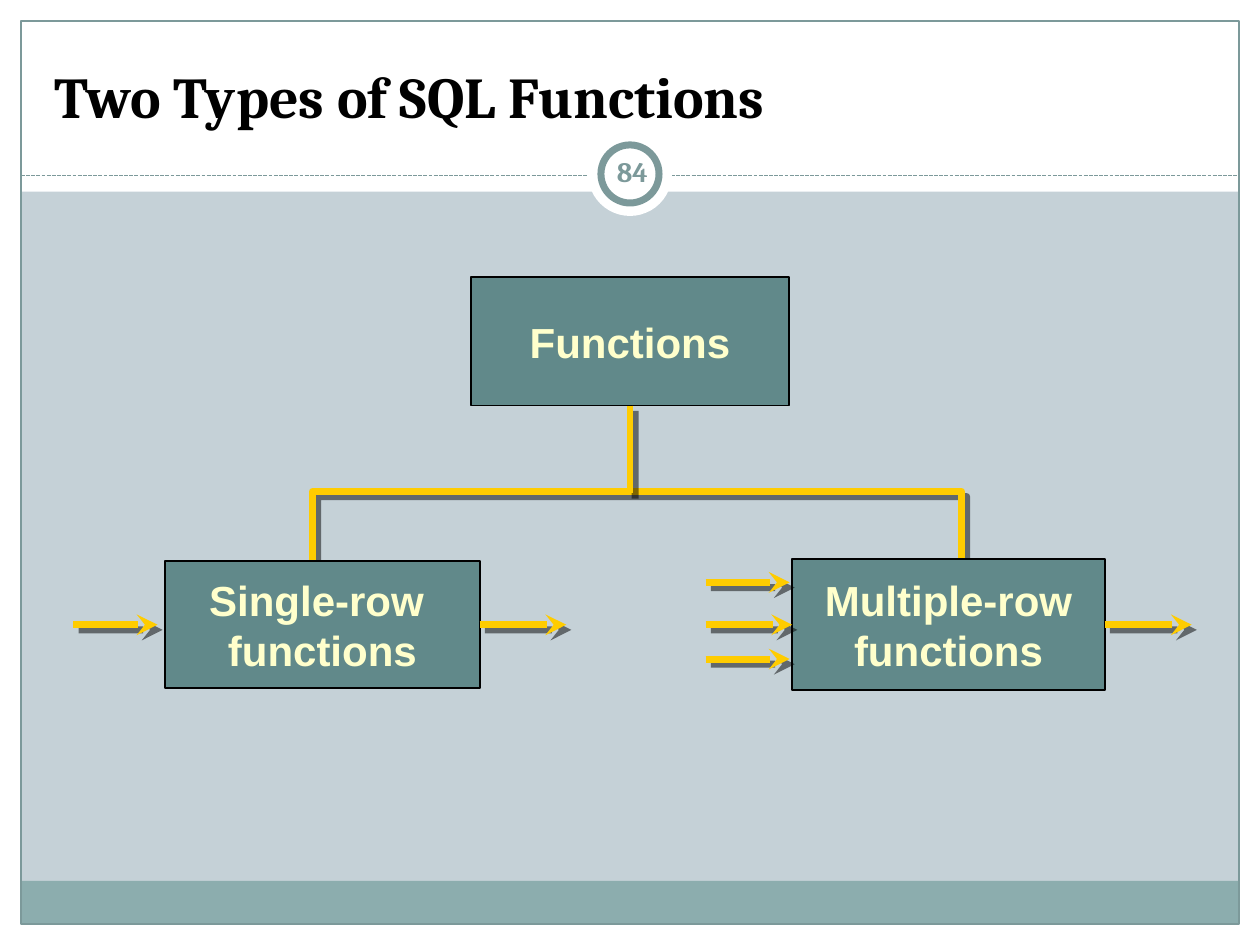
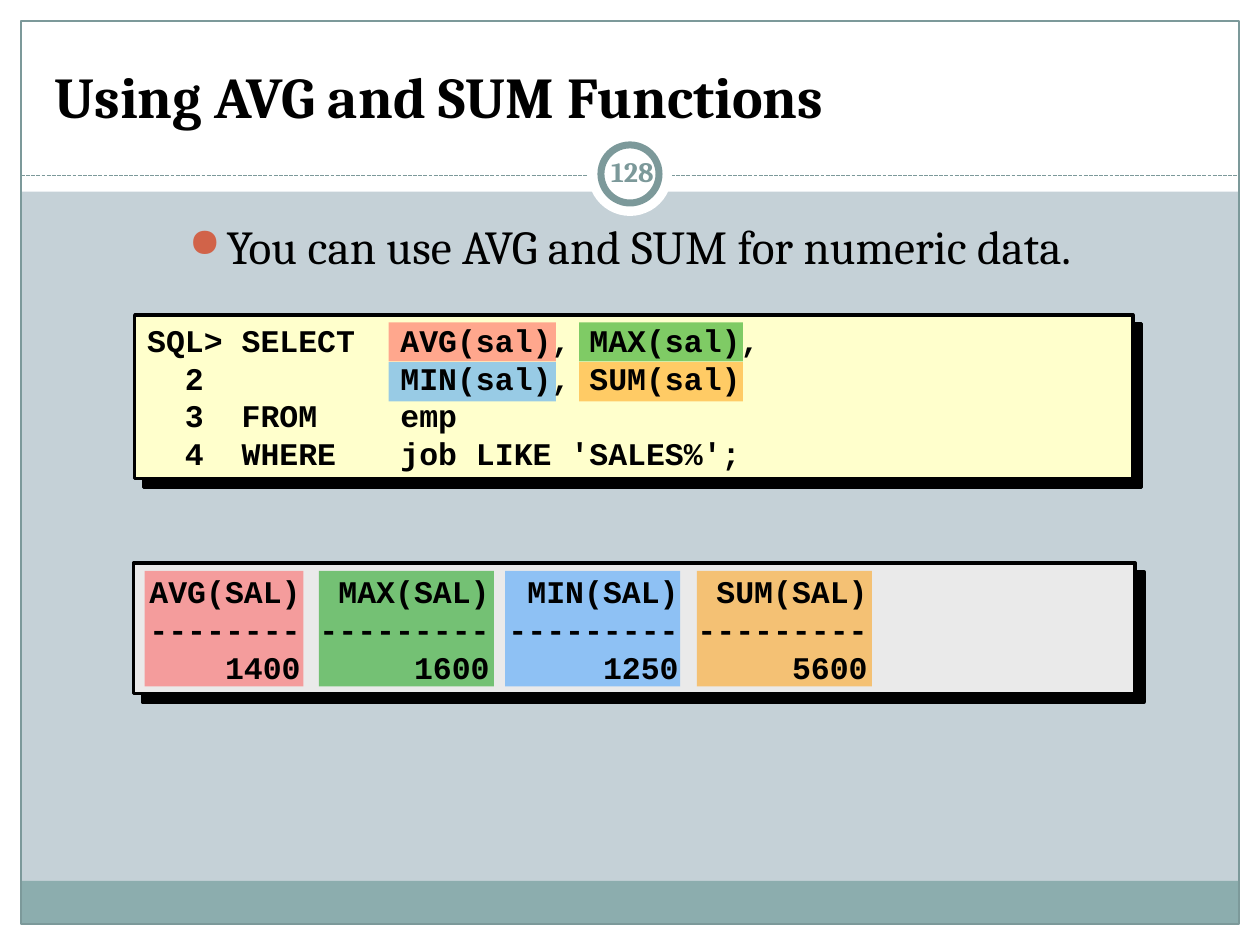
from lxml import etree
from pptx import Presentation
from pptx import util as u
from pptx.dml.color import RGBColor
from pptx.enum import dml, shapes, text
from pptx.oxml.ns import qn

SLIDE_W, SLIDE_H = 720, 540
EDGE = 12
WHITE, BLACK = "FFFFFF", "000000"
BACKDROP, TEAL, FOOTER_TEAL, BOX_TEAL = "C5D1D7", "7C999A", "8CADAE", "61898A"
GOLD, CREAM, GREY, BULLET_RED = "FFCC00", "FFFFCC", "EAEAEA", "D16349"
SERIF, SANS, MONO = "Cambria", "Arial", "Courier New"
RECT, OVAL = shapes.MSO_SHAPE.RECTANGLE, shapes.MSO_SHAPE.OVAL
TOP, LEFT, BOTTOM, RIGHT = range(4)
FLOW_SHADOW, PANEL_SHADOW = (4.2, 50), (7.1, 100)
ARROW_LENGTH = 48
MONO_ADVANCE = 10.8
AVG_RED, MAX_GREEN, MIN_BLUE, SUM_ORANGE = "FF5050", "009900", "3399FF", "FF9900"


def rgb(hex_code):
    """Turn a hex string into a colour."""
    return RGBColor.from_string(hex_code)


def add_xml(parent, tag, **attributes):
    """Append a DrawingML element to a parent."""
    return etree.SubElement(parent, qn(f"a:{tag}"), attributes)


def set_effects(item, shadow=None):
    """Replace the theme shadow with a 45 degree one, or with none."""
    effects = add_xml(item._element.spPr, "effectLst")
    if shadow:
        distance, opacity = shadow
        cast = add_xml(effects, "outerShdw", dist=str(u.Pt(distance)), dir="2700000",
                       algn="ctr", rotWithShape="0")
        tint = add_xml(cast, "srgbClr", val=BLACK)
        add_xml(tint, "alpha", val=str(opacity * 1000))


def style_shape(shape, fill=None, line=None, width=1, shadow=None, opacity=100):
    """Set fill, outline and shadow of a shape."""
    if fill:
        shape.fill.solid()
        shape.fill.fore_color.rgb = rgb(fill)
        if opacity < 100:
            tint = shape._element.spPr.find(".//" + qn("a:srgbClr"))
            add_xml(tint, "alpha", val=str(opacity * 1000))
    else:
        shape.fill.background()
    if line:
        shape.line.color.rgb = rgb(line)
        shape.line.width = u.Pt(width)
    else:
        shape.line.fill.background()
    set_effects(shape, shadow)
    return shape


def add_box(slide, x, y, w, h, kind=RECT, **style):
    """Add a styled preset shape."""
    shape = slide.shapes.add_shape(kind, u.Pt(x), u.Pt(y), u.Pt(w), u.Pt(h))
    return style_shape(shape, **style)


def add_line(slide, start, end, color, width, dash=None, arrow=False, shadow=None):
    """Add a straight connector between two points."""
    line = slide.shapes.add_connector(shapes.MSO_CONNECTOR.STRAIGHT,
                                      *(u.Pt(v) for v in (*start, *end)))
    line.line.color.rgb = rgb(color)
    line.line.width = u.Pt(width)
    if dash:
        line.line.dash_style = dash
    if arrow:
        add_xml(line._element.spPr.find(qn("a:ln")), "tailEnd", type="stealth")
    set_effects(line, shadow)
    return line


def write(frame, lines, size, font, color=BLACK, bold=False, align=text.PP_ALIGN.LEFT,
          anchor=text.MSO_ANCHOR.TOP, wrap=True, inset=7.2, tabs=(), bullet=False):
    """Fill a text frame with one paragraph per line."""
    frame.word_wrap = wrap
    frame.vertical_anchor = anchor
    frame.margin_left = frame.margin_right = u.Pt(inset)
    frame.margin_top = frame.margin_bottom = u.Pt(3.6)
    for i, line in enumerate(lines):
        paragraph = frame.add_paragraph() if i else frame.paragraphs[0]
        paragraph.alignment = align
        properties = paragraph._p.get_or_add_pPr()
        if bullet:
            properties.set("marL", str(u.Pt(21.6)))
            properties.set("indent", str(-u.Pt(21.6)))
            add_xml(add_xml(properties, "buClr"), "srgbClr", val=BULLET_RED)
            add_xml(properties, "buSzPct", val="85000")
            add_xml(properties, "buChar", char="●")
        if tabs:
            stops = add_xml(properties, "tabLst")
            for position, side in tabs:
                add_xml(stops, "tab", pos=str(u.Pt(position)), algn=side)
        run = paragraph.add_run()
        run.text = line
        run.font.size = u.Pt(size)
        run.font.name = font
        run.font.bold = bold
        run.font.color.rgb = rgb(color)


def add_text(slide, x, y, w, h, lines, **style):
    """Add a text box with formatted lines."""
    box = slide.shapes.add_textbox(u.Pt(x), u.Pt(y), u.Pt(w), u.Pt(h))
    write(box.text_frame, lines, **style)


def add_base(deck, title, number):
    """Add a slide with the shared frame, title and number badge."""
    slide = deck.slides.add_slide(deck.slide_layouts[6])
    slide.background.fill.solid()
    slide.background.fill.fore_color.rgb = rgb(BACKDROP)
    inner_w = SLIDE_W - 2 * EDGE
    for border in ((0, SLIDE_H - EDGE, SLIDE_W, EDGE), (0, 0, SLIDE_W, 109.5),
                   (0, 0, EDGE, SLIDE_H), (SLIDE_W - EDGE, 0, EDGE, SLIDE_H)):
        add_box(slide, *border, fill=WHITE)
    add_box(slide, EDGE, 503.3, inner_w, 24.7, fill=FOOTER_TEAL)
    add_box(slide, EDGE, EDGE, inner_w, SLIDE_H - 2 * EDGE, line=TEAL, width=0.75)
    add_line(slide, (EDGE, 100.5), (SLIDE_W - EDGE, 100.5), TEAL, 0.75,
             dash=dml.MSO_LINE.SQUARE_DOT)
    add_box(slide, 336, 75.4, 48, 48, OVAL, fill=WHITE)
    add_box(slide, 343.4, 82.8, 33.2, 33.2, OVAL, fill=WHITE, line=TEAL, width=4)
    add_text(slide, 24, 18, 672, 60, [title], size=33, font=SERIF, bold=True,
             anchor=text.MSO_ANCHOR.BOTTOM)
    add_text(slide, 343.4, 80.6, 36, 34.6, [str(number)], size=16, font=SERIF, bold=True,
             color=TEAL, align=text.PP_ALIGN.CENTER, anchor=text.MSO_ANCHOR.MIDDLE,
             inset=3.6)
    return slide


def add_bracket(slide, points):
    """Add the open outline that branches to the two function kinds."""
    start, *rest = [(u.Pt(x), u.Pt(y)) for x, y in points]
    builder = slide.shapes.build_freeform(*start)
    builder.add_line_segments(rest, close=False)
    style_shape(builder.convert_to_shape(), line=GOLD, width=4, shadow=FLOW_SHADOW)


def add_node(slide, x, y, w, h, *label):
    """Add a labelled box of the function tree."""
    node = add_box(slide, x, y, w, h, fill=BOX_TEAL, line=BLACK)
    write(node.text_frame, label, size=24, font=SANS, color=CREAM, bold=True, wrap=False,
          align=text.PP_ALIGN.CENTER, anchor=text.MSO_ANCHOR.MIDDLE)
    return node


def add_flow(slide, x, y):
    """Add a row arrow that starts at the given point."""
    return add_line(slide, (x, y), (x + ARROW_LENGTH, y), GOLD, 4, arrow=True,
                    shadow=FLOW_SHADOW)


def build_types(deck):
    """Build the slide with the tree of function types."""
    slide = add_base(deck, "Two Types of SQL Functions", 84)
    add_bracket(slide, [(178.6, 322), (178.6, 280.8), (549.4, 280.8), (549.4, 322)])
    functions = add_node(slide, 269, 158.4, 182, 73.4, "Functions")
    single_row = add_node(slide, 94.3, 320.6, 179.8, 72.8, "Single-row ", "functions")
    multiple_row = add_node(slide, 452.7, 319.6, 178.6, 74.8, "Multiple-row", "functions")
    stem = add_line(slide, (360, 231.8), (360, 282), GOLD, 4, shadow=FLOW_SHADOW)
    stem.begin_connect(functions, BOTTOM)
    row_y = 357
    add_flow(slide, 42, row_y)
    add_flow(slide, 275.6, row_y).begin_connect(single_row, RIGHT)
    add_flow(slide, 403.2, row_y).end_connect(multiple_row, LEFT)
    add_flow(slide, 633, row_y).begin_connect(multiple_row, RIGHT)
    for extra_y in (332.8, 376.6):
        add_flow(slide, 403.2, extra_y)


def build_avg_sum(deck):
    """Build the slide with the query and its result."""
    slide = add_base(deck, "Using AVG and SUM Functions", 128)
    add_box(slide, 76.3, 321.8, 572.4, 74.4, fill=GREY, line=BLACK, width=2,
            shadow=PANEL_SHADOW)
    add_box(slide, 77, 180, 570.4, 93.6, fill=CREAM, line=BLACK, width=2,
            shadow=PANEL_SHADOW)
    highlights = ((AVG_RED, 0, 0, 82.6, 90.8), (MAX_GREEN, 1, 0, 182.2, 100),
                  (MIN_BLUE, 0, 1, 288.7, 100), (SUM_ORANGE, 1, 1, 398.2, 100))
    call_columns = ((222, 95.6), (331, 93.6))
    for color, column, row, result_x, result_w in highlights:
        call_x, call_w = call_columns[column]
        add_box(slide, call_x, 184.2 + 22.8 * row, call_w, 22.4, fill=color, opacity=50)
        add_box(slide, result_x, 326.2, result_w, 66, fill=color, opacity=50)
    add_text(slide, 0, 120.5, SLIDE_W, 39.6,
             ["You can use AVG and SUM for numeric data."], size=27, font=SERIF,
             align=text.PP_ALIGN.CENTER, bullet=True)
    result_rows = (("AVG(SAL)", "MAX(SAL)", "MIN(SAL)", "SUM(SAL)"),
                   ("--------", "---------", "---------", "---------"),
                   ("    1400", "1600", "1250", "5600"))
    add_text(slide, 78.3, 323.3, 570.2, 72, ["\t".join(row) for row in result_rows],
             size=18, font=MONO, bold=True,
             tabs=[(MONO_ADVANCE * end, "r") for end in (18, 28, 38)])
    query = ("SQL> SELECT\tAVG(sal), MAX(sal),",
             "  2\t\tMIN(sal), SUM(sal)",
             "  3\tFROM\temp",
             "  4\tWHERE\tjob LIKE 'SALES%';")
    add_text(slide, 77, 178.6, 572.4, 95.8, query, size=18, font=MONO, bold=True,
             anchor=text.MSO_ANCHOR.MIDDLE, tabs=[(54, "l"), (144.7, "l")])


def main():
    """Build and save the deck."""
    deck = Presentation()
    deck.slide_width, deck.slide_height = u.Pt(SLIDE_W), u.Pt(SLIDE_H)
    build_types(deck)
    build_avg_sum(deck)
    deck.save("out.pptx")


if __name__ == "__main__":
    main()
